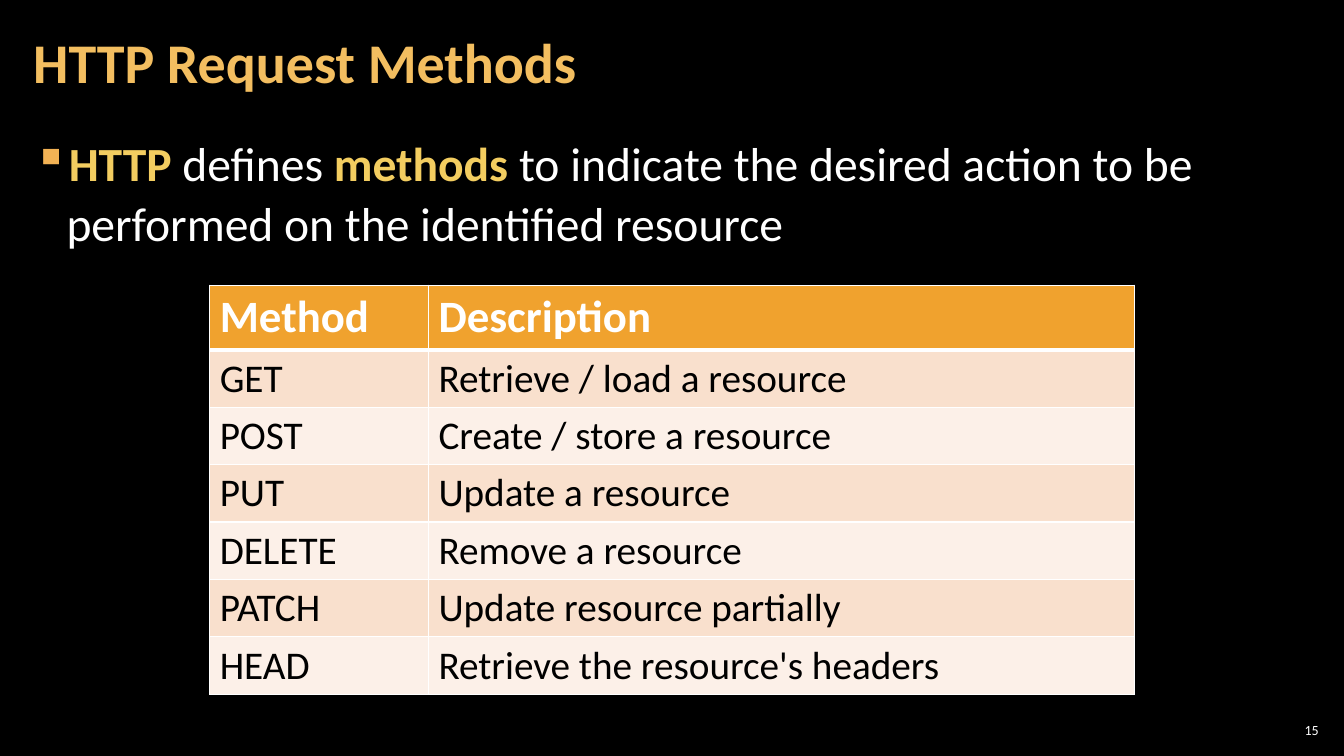
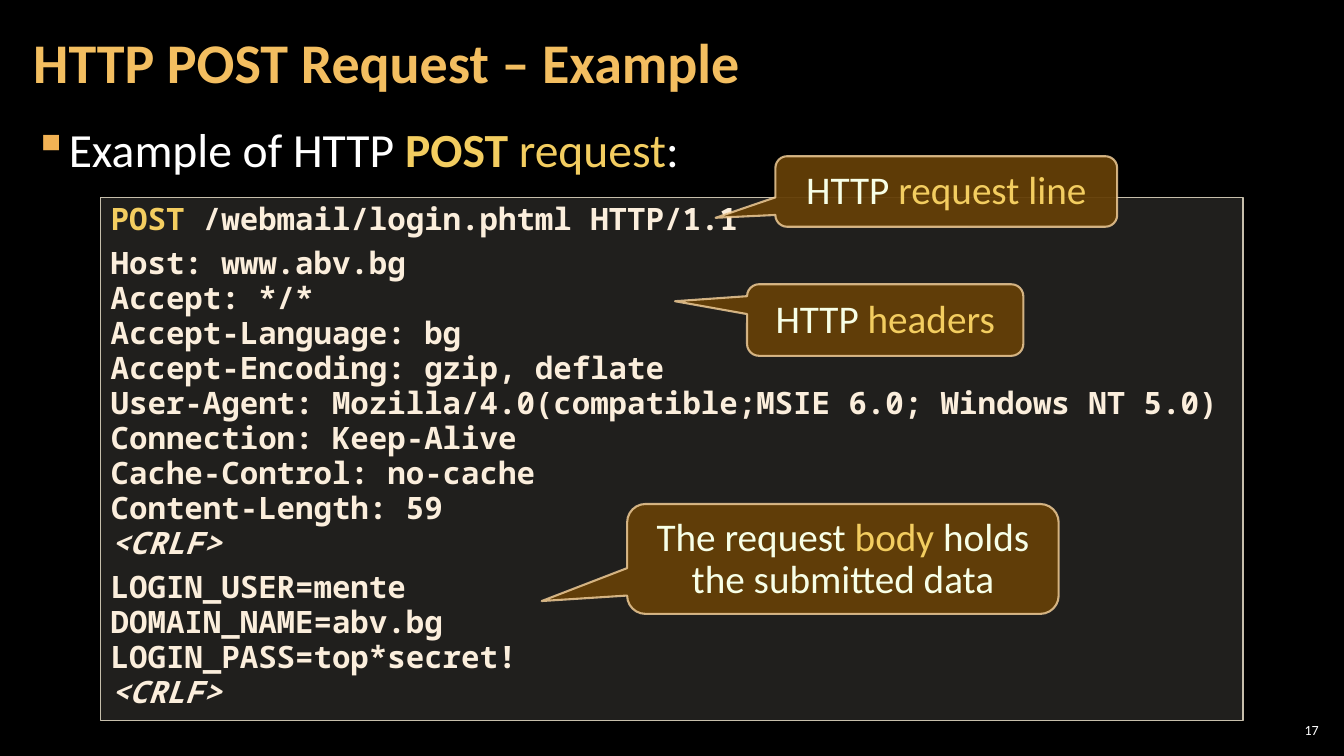
"""Build two slides on HTTP request methods and an HTTP POST request."""
from dataclasses import dataclass
from typing import Optional, Sequence, Union

import lxml.etree
import pptx
import pptx.dml.color
import pptx.enum.shapes
import pptx.enum.text
import pptx.oxml
import pptx.oxml.ns
import pptx.shapes.autoshape
import pptx.slide
import pptx.table
import pptx.text.text
import pptx.util

Inches = pptx.util.Inches
Pt = pptx.util.Pt
RGBColor = pptx.dml.color.RGBColor
Align = pptx.enum.text.PP_ALIGN
Anchor = pptx.enum.text.MSO_ANCHOR
Preset = pptx.enum.shapes.MSO_SHAPE
qn = pptx.oxml.ns.qn

BLACK = RGBColor(0x00, 0x00, 0x00)
WHITE = RGBColor(0xFF, 0xFF, 0xFF)
TITLE_GOLD = RGBColor(0xF3, 0xBE, 0x60)
ACCENT_GOLD = RGBColor(0xF3, 0xCD, 0x60)
BULLET_ORANGE = RGBColor(0xF2, 0xB2, 0x54)
HEADER_ORANGE = RGBColor(0xF0, 0xA2, 0x2E)
ROW_DARK = RGBColor(0xF9, 0xE0, 0xCD)
ROW_LIGHT = RGBColor(0xFC, 0xF0, 0xE8)
CODE_FILL = RGBColor(0xD9, 0xD5, 0xC7)
CODE_LINE = RGBColor(0xC7, 0xBF, 0xAC)
CODE_TEXT = RGBColor(0xFB, 0xEE, 0xDC)
CALLOUT_FILL = RGBColor(0x64, 0x3F, 0x07)
CALLOUT_LINE = RGBColor(0xF8, 0xD4, 0x9E)
CALLOUT_TEXT = RGBColor(0xF7, 0xFF, 0xE7)

TEXT_FONT = "Calibri"
CODE_FONT = "Noto Sans Mono"
PADDING = (0.12, 0.04, 0.12, 0.04)


@dataclass(frozen=True)
class Span:
    """A stretch of text with its colour and emphasis."""
    text: str
    color: RGBColor = WHITE
    bold: bool = False
    italic: bool = False


@dataclass(frozen=True)
class Area:
    """A rectangle on the slide, in inches."""
    left: float
    top: float
    width: float
    height: float

    def lengths(self) -> list[pptx.util.Length]:
        """Return the rectangle as slide lengths."""
        return [Inches(n) for n in (self.left, self.top, self.width, self.height)]


@dataclass(frozen=True)
class Callout:
    """A speech bubble with the place of its tip."""
    area: Area
    tip: tuple[float, float]
    spans: Sequence[Span]


@dataclass(frozen=True)
class MethodRow:
    """One row of the table of methods."""
    method: str
    description: str


TITLE_AREA = Area(0.21, 0.04, 10.47, 1.21)
NUMBER_AREA = Area(12.65, 7.14, 0.47, 0.21)
TABLE_AREA = Area(2.08, 2.83, 9.17, 4.06)
CODE_AREA = Area(1, 1.96, 11.33, 5.19)
COLUMN_WIDTHS = (2.17, 7)
HEADER_HEIGHT = 0.64
ROW_HEIGHT = 0.57

METHOD_ROWS = (
    MethodRow("Method", "Description"),
    MethodRow("GET", "Retrieve / load a resource"),
    MethodRow("POST", "Create / store a resource"),
    MethodRow("PUT", "Update a resource"),
    MethodRow("DELETE", "Remove a resource"),
    MethodRow("PATCH", "Update resource partially"),
    MethodRow("HEAD", "Retrieve the resource's headers"),
)

HEADER_LINES = """Host: www.abv.bg
Accept: */*
Accept-Language: bg
Accept-Encoding: gzip, deflate
User-Agent: Mozilla/4.0(compatible;MSIE 6.0; Windows NT 5.0)
Connection: Keep-Alive
Cache-Control: no-cache
Content-Length: 59
<CRLF>"""

BODY_LINES = """LOGIN_USER=mente
DOMAIN_NAME=abv.bg
LOGIN_PASS=top*secret!
<CRLF>"""

CALLOUTS = (
    Callout(Area(7.69, 1.55, 3.39, 0.7), (-0.675, 0.373),
            (Span("HTTP ", CALLOUT_TEXT), Span("request line", ACCENT_GOLD))),
    Callout(Area(7.41, 2.82, 2.74, 0.71), (-0.761, -0.263),
            (Span("HTTP ", CALLOUT_TEXT), Span("headers", ACCENT_GOLD))),
    Callout(Area(6.22, 5, 4.28, 1.09), (-0.698, 0.383),
            (Span("The request ", CALLOUT_TEXT), Span("body", ACCENT_GOLD),
             Span(" holds the submitted data", CALLOUT_TEXT))),
)


def write_spans(para: pptx.text.text._Paragraph, spans: Sequence[Span], *, size: float,
                font: str = TEXT_FONT, align: Align = Align.LEFT,
                spacing: Union[float, pptx.util.Length] = 1.0, before: float = 0) -> None:
    """Write formatted spans into a paragraph."""
    para.alignment = align
    para.line_spacing = spacing
    para.space_before = Pt(before)
    for span in spans:
        run = para.add_run()
        run.text = span.text
        run.font.name = font
        run.font.size = Pt(size)
        run.font.bold = span.bold
        run.font.italic = span.italic
        run.font.color.rgb = span.color


def add_box(slide: pptx.slide.Slide, area: Area, *, anchor: Anchor = Anchor.TOP,
            padding: Sequence[float] = PADDING) -> pptx.shapes.autoshape.Shape:
    """Add a wrapping text box."""
    box = slide.shapes.add_textbox(*area.lengths())
    frame = box.text_frame
    frame.word_wrap = True
    frame.vertical_anchor = anchor
    (frame.margin_left, frame.margin_top,
     frame.margin_right, frame.margin_bottom) = map(Inches, padding)
    return box


def set_alpha(fill_owner: lxml.etree._Element, percent: int) -> None:
    """Set the opacity of the solid fill directly inside an element."""
    color = fill_owner.find(qn("a:solidFill"))[0]
    pptx.oxml.ns.qn("a:alpha")
    lxml.etree.SubElement(color, qn("a:alpha"), val=str(percent * 1000))


def add_panel(slide: pptx.slide.Slide, preset: Preset, area: Area, *, fill: RGBColor,
              fill_alpha: int, line: RGBColor, line_width: float,
              line_alpha: int = 100, anchor: Anchor = Anchor.TOP) -> pptx.shapes.autoshape.Shape:
    """Add a translucent outlined shape that holds text."""
    panel = slide.shapes.add_shape(preset, *area.lengths())
    panel.shadow.inherit = False
    panel.fill.solid()
    panel.fill.fore_color.rgb = fill
    panel.line.color.rgb = line
    panel.line.width = Pt(line_width)
    properties = panel.element.spPr
    set_alpha(properties, fill_alpha)
    set_alpha(properties.find(qn("a:ln")), line_alpha)
    panel.text_frame.word_wrap = True
    panel.text_frame.vertical_anchor = anchor
    return panel


def add_bullet(slide: pptx.slide.Slide, top: float, spans: Sequence[Span]) -> None:
    """Add the bulleted body text."""
    box = add_box(slide, Area(0.21, top, 12.91, 6.09))
    para = box.text_frame.paragraphs[0]
    properties = para._p.get_or_add_pPr()
    properties.set("marL", str(Inches(0.33)))
    properties.set("indent", str(Inches(-0.33)))
    bullet_color = lxml.etree.SubElement(properties, qn("a:buClr"))
    lxml.etree.SubElement(bullet_color, qn("a:srgbClr"), val=str(BULLET_ORANGE))
    lxml.etree.SubElement(properties, qn("a:buChar"), char="▪")
    para.space_after = Pt(6)
    write_spans(para, spans, size=34, spacing=1.05)


def add_page(deck: pptx.presentation.Presentation, title: str, number: int) -> pptx.slide.Slide:
    """Add a black slide with its title and page number."""
    slide = deck.slides.add_slide(deck.slide_layouts[6])
    slide.background.fill.solid()
    slide.background.fill.fore_color.rgb = BLACK
    number_box = add_box(slide, NUMBER_AREA, anchor=Anchor.MIDDLE, padding=(0.04,) * 4)
    write_spans(number_box.text_frame.paragraphs[0], [Span(str(number))],
                size=10, align=Align.RIGHT)
    title_box = add_box(slide, TITLE_AREA, anchor=Anchor.MIDDLE)
    write_spans(title_box.text_frame.paragraphs[0], [Span(title, TITLE_GOLD, bold=True)],
                size=40, spacing=0.9)
    return slide


def format_cell(cell: pptx.table._Cell, text: str, row_index: int) -> None:
    """Fill, outline and label one cell of the table."""
    is_header = row_index == 0
    properties = cell._tc.get_or_add_tcPr()
    for side in "LRTB":
        is_thick = (is_header and side == "B") or (row_index == 1 and side == "T")
        border = lxml.etree.SubElement(properties, qn(f"a:ln{side}"),
                                       w=str(Pt(3 if is_thick else 1)))
        border_fill = lxml.etree.SubElement(border, qn("a:solidFill"))
        lxml.etree.SubElement(border_fill, qn("a:srgbClr"), val=str(WHITE))
    cell.fill.solid()
    band = ROW_DARK if row_index % 2 else ROW_LIGHT
    cell.fill.fore_color.rgb = HEADER_ORANGE if is_header else band
    span = Span(text, WHITE if is_header else BLACK, bold=is_header)
    write_spans(cell.text_frame.paragraphs[0], [span], size=32 if is_header else 28)


def add_method_table(slide: pptx.slide.Slide) -> None:
    """Add the table of request methods."""
    table = slide.shapes.add_table(len(METHOD_ROWS), len(COLUMN_WIDTHS),
                                   *TABLE_AREA.lengths()).table
    for column, width in zip(table.columns, COLUMN_WIDTHS):
        column.width = Inches(width)
    for row_index, entry in enumerate(METHOD_ROWS):
        row = table.rows[row_index]
        row.height = Inches(ROW_HEIGHT if row_index else HEADER_HEIGHT)
        for cell, text in zip(row.cells, (entry.method, entry.description)):
            format_cell(cell, text, row_index)


def add_request_code(slide: pptx.slide.Slide) -> None:
    """Add the panel with the text of the request."""
    panel = add_panel(slide, Preset.RECTANGLE, CODE_AREA, fill=CODE_FILL, fill_alpha=15,
                      line=CODE_LINE, line_width=1)
    frame = panel.text_frame
    request_line = [Span("POST", ACCENT_GOLD, bold=True),
                    Span(" /webmail/login.phtml HTTP/1.1", CODE_TEXT, bold=True)]
    write_spans(frame.paragraphs[0], request_line, size=22, font=CODE_FONT, spacing=0.95)
    for block in (HEADER_LINES, BODY_LINES):
        for index, text in enumerate(block.splitlines()):
            span = Span(text, CODE_TEXT, bold=True, italic=text == "<CRLF>")
            write_spans(frame.add_paragraph(), [span], size=22, font=CODE_FONT,
                        spacing=0.95, before=0 if index else 6)


def add_callout(slide: pptx.slide.Slide, callout: Callout) -> None:
    """Add one speech bubble."""
    panel = add_panel(slide, Preset.ROUNDED_RECTANGULAR_CALLOUT, callout.area,
                      fill=CALLOUT_FILL, fill_alpha=95, line=CALLOUT_LINE,
                      line_width=1.5, line_alpha=80, anchor=Anchor.MIDDLE)
    panel.adjustments[0], panel.adjustments[1] = callout.tip
    write_spans(panel.text_frame.paragraphs[0], callout.spans, size=28,
                align=Align.CENTER, spacing=Pt(30))


def main() -> None:
    """Build and save the deck."""
    deck = pptx.Presentation()
    deck.slide_width, deck.slide_height = Inches(13.33), Inches(7.5)

    methods_page = add_page(deck, "HTTP Request Methods", 15)
    add_bullet(methods_page, 1.26, [
        Span("HTTP", ACCENT_GOLD, bold=True), Span(" defines "),
        Span("methods", ACCENT_GOLD, bold=True),
        Span(" to indicate the desired action to be performed on the identified resource")])
    add_method_table(methods_page)

    example_page = add_page(deck, "HTTP POST Request – Example", 17)
    add_bullet(example_page, 1.12, [
        Span("Example of HTTP "), Span("POST ", ACCENT_GOLD, bold=True),
        Span("request", ACCENT_GOLD), Span(":")])
    add_request_code(example_page)
    for callout in CALLOUTS:
        add_callout(example_page, callout)

    deck.save("out.pptx")


if __name__ == "__main__":
    main()
